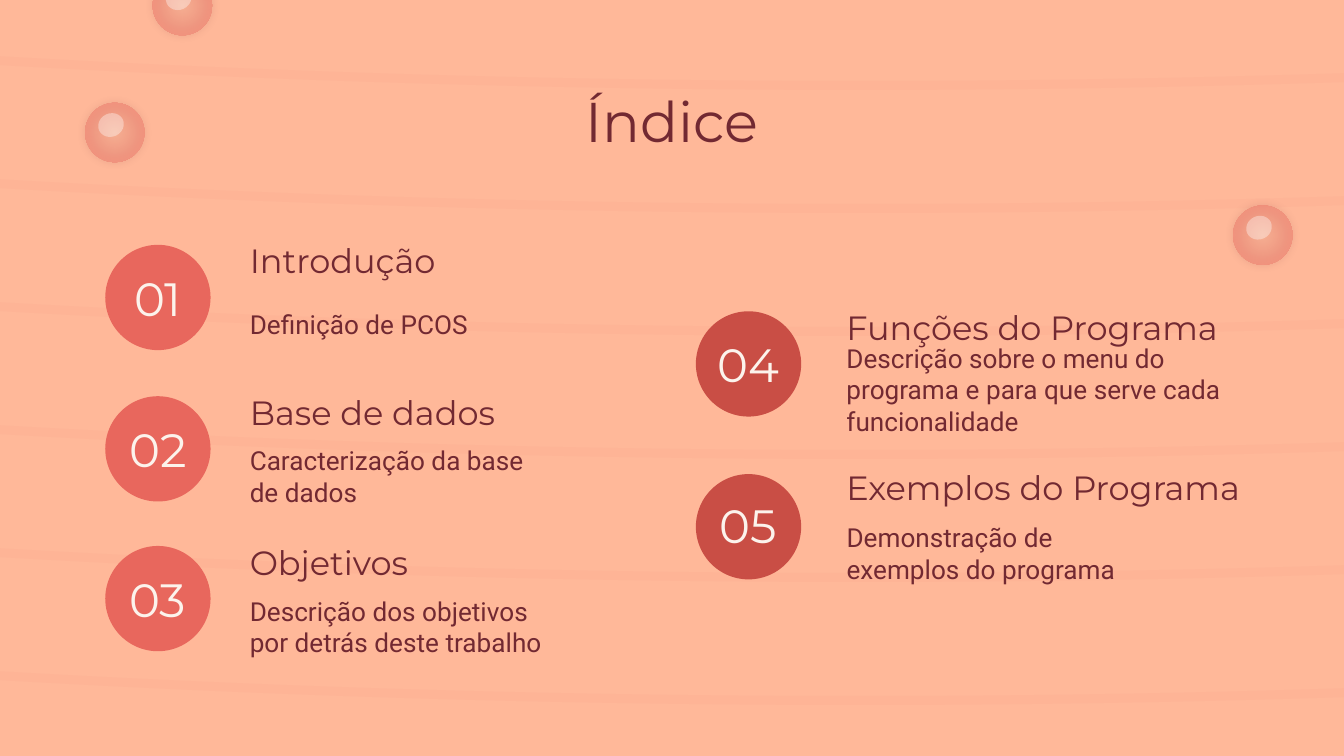
from lxml import etree
from pptx import Presentation
from pptx.dml.color import RGBColor
from pptx.enum.shapes import MSO_SHAPE as Kind
from pptx.enum.text import MSO_ANCHOR as Anchor, PP_ALIGN as Align
from pptx.oxml import parse_xml
from pptx.oxml.ns import nsdecls, qn
from pptx.util import Pt

PEACH, CORAL, RED = "FFB899", "E8675D", "C94E45"
WINE, CREAM, WHITE = "722932", "FCF3EC", "FFFFFF"
HEAD, BODY = "Montserrat", "Roboto"
WIDTH, HEIGHT = 720, 405
DISC = 56.4

TITLE = "Índice"
# number, heading, text, text width, then middles of disc, number, heading, text
LEFT = [
    ("01", "Introdução", "Definição de PCOS", 178.6,
     (159.4, 159.6, 139.5, 173.8)),
    ("02", "Base de dados", "Caracterização da base de dados", 178.6,
     (240.5, 240.5, 220.5, 255)),
    ("03", "Objetivos", "Descrição dos objetivos por detrás deste trabalho",
     178.6, (320.7, 320.9, 301, 335.5)),
]
RIGHT = [
    ("04", "Funções do Programa",
     "Descrição sobre o menu do programa e para que serve cada funcionalidade",
     220.3, (195, 195, 175, 208.6)),
    ("05", "Exemplos do Programa", "Demonstração de exemplos do programa",
     178.6, (282.2, 281.2, 261, 296.2)),
]
# disc left, text left, heading width, disc colour, items
COLUMNS = [(56.4, 126.7, 217.4, CORAL, LEFT), (372.8, 446.4, 244.4, RED, RIGHT)]
BUBBLES = [(97.75, 3), (676.5, 126), (61.5, 71)]  # centres
WAVES, WAVE_LOW, WAVE_STEP, WAVE_THICK = 6, 48.2, 65.9, 4.8
WAVE_FROM, WAVE_MID, WAVE_TO, WAVE_BEND = -52, 461, 755, 0.0000625

deck = Presentation()
deck.slide_width, deck.slide_height = Pt(WIDTH), Pt(HEIGHT)
slide = deck.slides.add_slide(deck.slide_layouts[6])
shapes = slide.shapes


def color(code):
    return RGBColor.from_string(code)


def paint(shape, code, alpha=100):
    """Solid fill with opacity in percent, no line, no shadow."""
    shape.shadow.inherit = False
    shape.line.fill.background()
    shape.fill.solid()
    shape.fill.fore_color.rgb = color(code)
    if alpha < 100:
        tone = shape.fill._xPr.find(".//" + qn("a:srgbClr"))
        etree.SubElement(tone, qn("a:alpha")).set("val", str(alpha * 1000))


def oval(mid_x, mid_y, wide, high, code, alpha=100):
    shape = shapes.add_shape(Kind.OVAL, Pt(mid_x - wide / 2),
                             Pt(mid_y - high / 2), Pt(wide), Pt(high))
    paint(shape, code, alpha)
    return shape


def write(text, left, mid, wide, high, size=14, font=BODY, code=WINE,
          align=Align.LEFT):
    """Text box centred vertically on mid."""
    box = shapes.add_textbox(Pt(left), Pt(mid - high / 2), Pt(wide), Pt(high))
    frame = box.text_frame
    frame.word_wrap = True
    frame.vertical_anchor = Anchor.MIDDLE
    frame.margin_left = frame.margin_right = Pt(7.2)
    frame.margin_top = frame.margin_bottom = Pt(7.2)
    para = frame.paragraphs[0]
    para.text, para.alignment = text, align
    para.font.size, para.font.name = Pt(size), font
    para.font.color.rgb = color(code)


def wave(low):
    """Shallow curved band, lowest at WAVE_MID."""
    edge = []
    for end in (WAVE_FROM, WAVE_TO):
        span = end - WAVE_MID
        rise = WAVE_BEND * span ** 2
        edge.append([(end, low - rise),
                     (end - span / 3, low - rise / 3),
                     (end - span * 2 / 3, low)])
    line = edge[0] + [(WAVE_MID, low)] + edge[1][::-1]
    upper = [(x, y - WAVE_THICK) for x, y in reversed(line)]
    ring = [(Pt(x), Pt(y)) for x, y in line + upper]
    pen = shapes.build_freeform(*ring[0])
    pen.add_line_segments(ring[1:], close=True)
    shape = pen.convert_to_shape()
    steps = list(shape._element.iter(qn("a:lnTo")))
    for first in (0, 3, 7, 10):  # step 6 is the straight right end
        bend = etree.Element(qn("a:cubicBezTo"))
        steps[first].addprevious(bend)
        for step in steps[first:first + 3]:
            bend.append(step[0])
            step.getparent().remove(step)
    paint(shape, CORAL, 4)


def bubble(x, y):
    ball = oval(x, y, 31.8, 31.8, CORAL)
    props = ball._element.spPr
    stops = "".join(
        f'<a:gs pos="{pos}"><a:srgbClr val="{code}">'
        '<a:alpha val="54000"/></a:srgbClr></a:gs>'
        for pos, code in ((0, PEACH), (100000, CORAL)))
    props.replace(props.find(qn("a:solidFill")), parse_xml(
        f'<a:gradFill {nsdecls("a")}><a:gsLst>{stops}</a:gsLst>'
        '<a:path path="circle"><a:fillToRect l="50000" t="50000" '
        'r="50000" b="50000"/></a:path></a:gradFill>'))
    props.find(qn("a:effectLst")).append(parse_xml(
        f'<a:outerShdw {nsdecls("a")} blurRad="{Pt(4.5)}" dist="0" dir="0">'
        f'<a:srgbClr val="{WINE}"><a:alpha val="23000"/></a:srgbClr>'
        '</a:outerShdw>'))
    shine = oval(x - 2, y - 4, 14, 12.5, WHITE, 36)
    shine.rotation = -25


back = slide.background.fill
back.solid()
back.fore_color.rgb = color(PEACH)

for row in range(WAVES):
    wave(WAVE_LOW + row * WAVE_STEP)

write(TITLE, 56.4, 64.5, 607.2, 45, size=30, font=HEAD, align=Align.CENTER)

for left, text_x, head_wide, tone, items in COLUMNS:
    for number, heading, text, wide, mids in items:
        disc_y, number_y, head_y, text_y = mids
        oval(left + DISC / 2, disc_y, DISC, DISC, tone)
        write(number, left, number_y, DISC, 35.2, size=25, font=HEAD,
              code=CREAM, align=Align.CENTER)
        write(text, text_x, text_y, wide, 27)
        write(heading, text_x, head_y, head_wide, 16.4, size=18, font=HEAD)

for x, y in BUBBLES:
    bubble(x, y)

deck.save("out.pptx")
